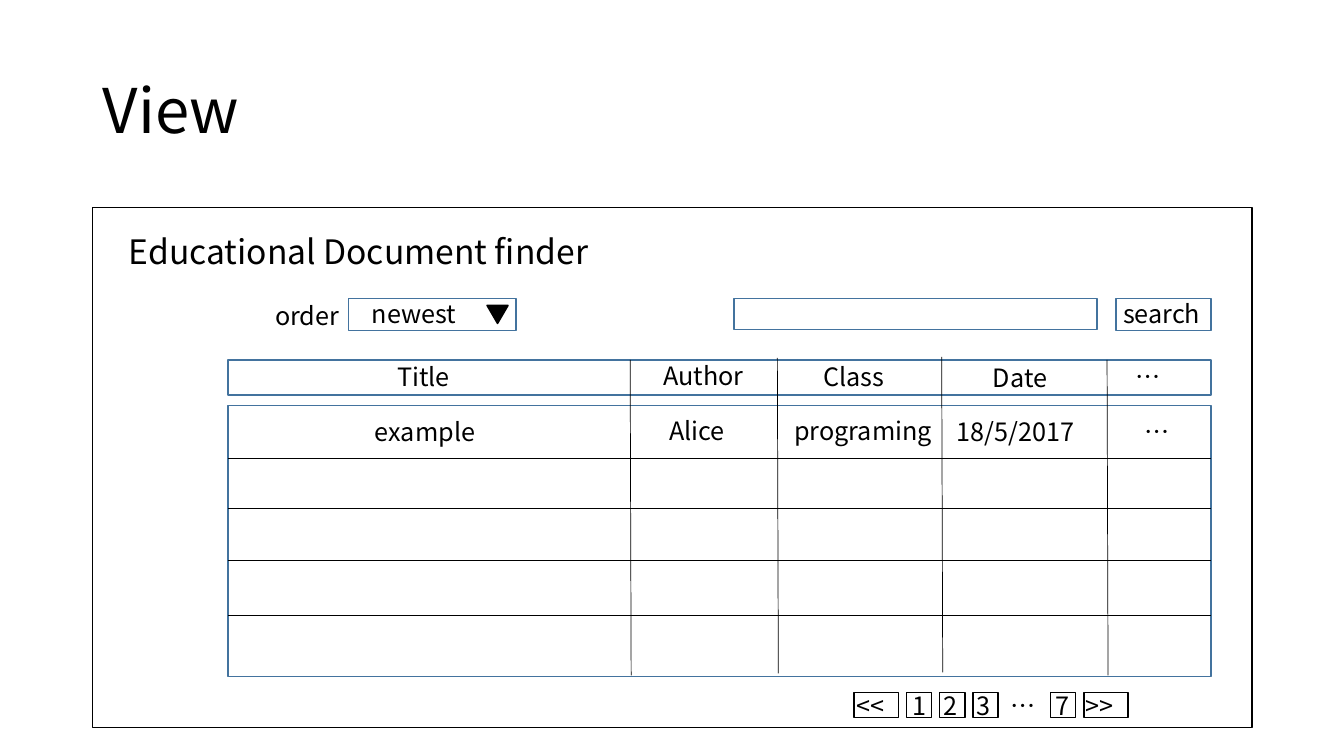
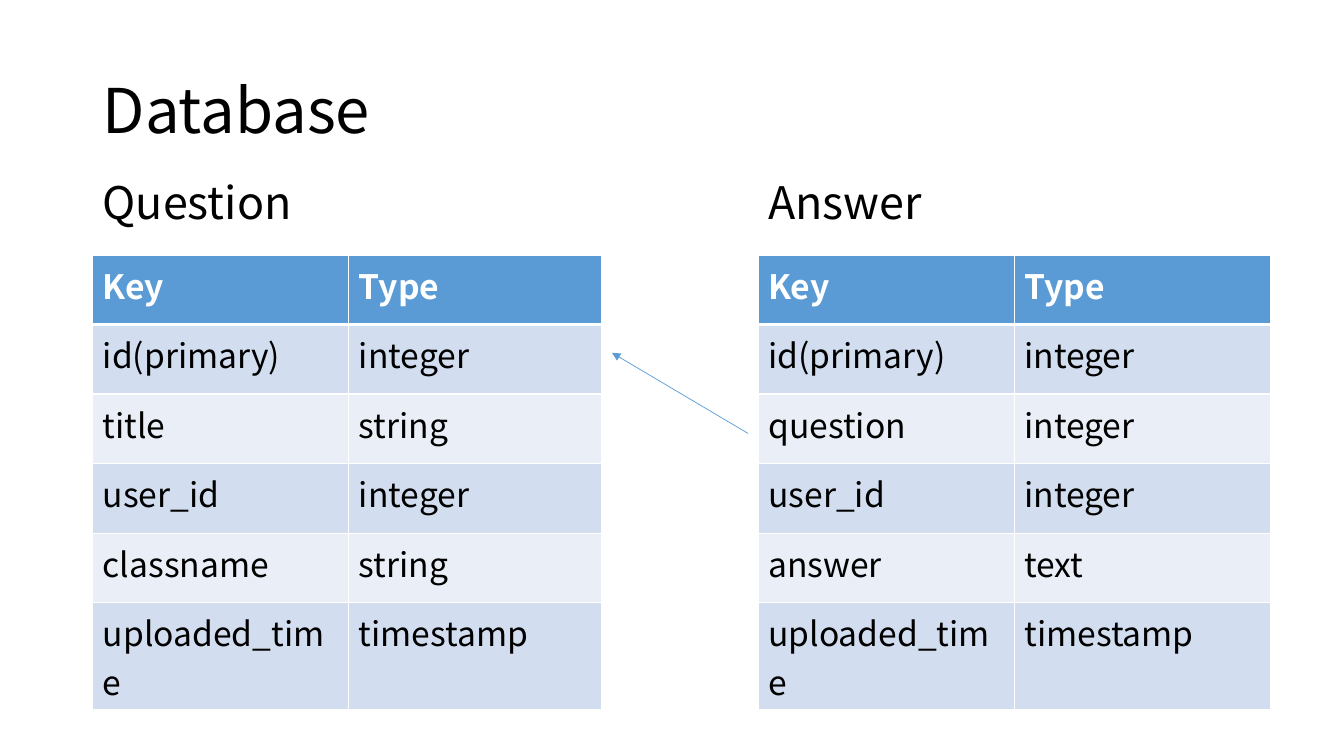
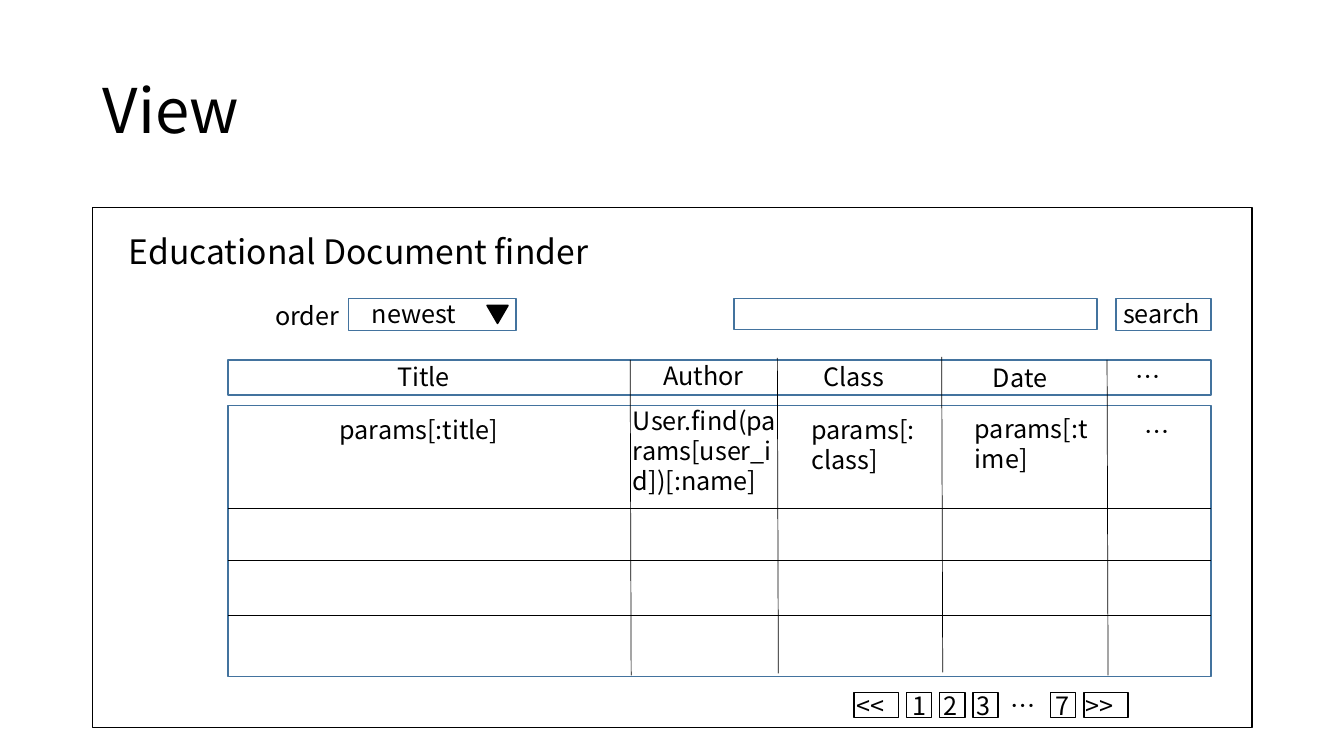
from lxml.etree import SubElement as Sub
from pptx import Presentation
from pptx.dml.color import RGBColor as RGB
from pptx.enum.shapes import MSO_CONNECTOR as Link, MSO_SHAPE as Kind
from pptx.enum.text import MSO_ANCHOR as Anchor, MSO_AUTO_SIZE as Auto
from pptx.oxml.ns import qn
from pptx.util import Inches, Pt

FACE = "Noto Sans CJK JP"
BLACK, WHITE = "000000", "FFFFFF"
EDGE, BLUE = "43739E", "5B9BD5"
BANDS = ["D2DEEF", "EAEFF7"]
LEFT, RIGHT = 2.26, 12.01
WIDTH = RIGHT - LEFT


def paint(item, tone):
    item.solid()
    item.fore_color.rgb = RGB.from_string(tone)


def apply(item, form):
    for name, value in form.items():
        setattr(item, name, value)


def style(para, size, tone=BLACK, bold=False):
    run = para.runs[0]
    apply(run.font, {"name": FACE, "size": Pt(size), "bold": bold})
    paint(run.font.fill, tone)
    Sub(run.font._element, qn("a:ea"), typeface=FACE)


def label(slide, text, x, y, w, h=0.4, size=18, gap=None, form=None):
    frame = slide.shapes.add_textbox(*map(Inches, (x, y, w, h))).text_frame
    apply(frame, {"word_wrap": True, "auto_size": Auto.SHAPE_TO_FIT_TEXT, **(form or {})})
    para = frame.paragraphs[0]
    para.text = text
    para.line_spacing = gap
    style(para, size)


def title(slide, text):
    form = {"auto_size": Auto.NONE, "vertical_anchor": Anchor.MIDDLE}
    label(slide, text, 0.92, 0.4, 11.5, 1.45, 44, 0.9, form)


def box(slide, x, y, w, h, tone=EDGE, kind=Kind.RECTANGLE, fill=None):
    shape = slide.shapes.add_shape(kind, *map(Inches, (x, y, w, h)))
    shape.shadow.inherit = False
    if fill:
        paint(shape.fill, fill)
    else:
        shape.fill.background()
    paint(shape.line.fill, tone)
    shape.line.width = Pt(1)


def rule(slide, x1, y1, x2, y2, tone=BLACK, arrow=False):
    line = slide.shapes.add_connector(Link.STRAIGHT, *map(Inches, (x1, y1, x2, y2)))
    paint(line.line.fill, tone)
    line.line.width = Pt(0.5)
    if arrow:
        Sub(line.line._get_or_add_ln(), qn("a:tailEnd"), type="triangle")
    Sub(line._element.spPr, qn("a:effectLst"))


def border(cell, head):
    props = cell._tc.get_or_add_tcPr()
    for side in "LRTB":
        width = Pt(3 if head and side == "B" else 1)
        line = Sub(props, qn("a:ln" + side), w=str(width))
        Sub(Sub(line, qn("a:solidFill")), qn("a:srgbClr"), val=WHITE)


def schema(slide, name, x, cols, rows):
    label(slide, name, x, 1.68, 4.74, 0.64, 32)
    rows = [("Key", "Type"), *rows]
    highs = [0.69] * (len(rows) - 1) + [1.06]
    size = map(Inches, (x, 2.53, sum(cols), sum(highs)))
    table = slide.shapes.add_table(len(rows), len(cols), *size).table
    for col, width in zip(table.columns, cols):
        col.width = Inches(width)
    for r, row in enumerate(rows):
        table.rows[r].height = Inches(highs[r])
        head = r == 0
        for c, text in enumerate(row):
            cell = table.cell(r, c)
            cell.text = text
            border(cell, head)
            paint(cell.fill, BLUE if head else BANDS[(r - 1) % 2])
            style(cell.text_frame.paragraphs[0], 24, WHITE if head else BLACK, head)


def pager(slide):
    for x in (8.99, 9.32, 9.65, 10.42):
        box(slide, x, 6.87, 0.25, 0.25, BLACK)
    for x in (8.47, 10.75):
        box(slide, x, 6.87, 0.44, 0.25, BLACK)
    marks = [("<<", 8.4), ("1", 8.95), ("2", 9.26), ("3", 9.59),
             ("…", 9.92), ("7", 10.37), (">>", 10.67)]
    for text, x in marks:
        label(slide, text, x, 6.8, 0.69)


def search(slide):
    label(slide, "Educational Document finder", 1.18, 2.24, 5.17, 0.5, 24)
    label(slide, "order", 2.63, 2.93, 0.95)
    box(slide, 3.46, 2.96, 1.66, 0.32)
    label(slide, "newest", 3.59, 2.91, 1.16)
    box(slide, 4.83, 3.03, 0.21, 0.18, BLACK, Kind.FLOWCHART_MERGE, BLACK)
    box(slide, 7.28, 2.96, 3.6, 0.31)
    box(slide, 11.07, 2.96, 0.94, 0.32)
    label(slide, "search", 11.04, 2.91, 1.1)


def view(slide, rows, cells):
    title(slide, "View")
    box(slide, 0.92, 2.06, 11.5, 5.16, BLACK)
    search(slide)
    box(slide, LEFT, 3.57, WIDTH, 0.35)
    box(slide, LEFT, 4.02, WIDTH, 2.69)
    for x, top in [(6.25, 3.57), (7.71, 3.55), (9.34, 3.54), (10.98, 3.57)]:
        rule(slide, x, top, x + 0.01, top + 3.13)
    for y in rows:
        rule(slide, LEFT, y, RIGHT, y)
    heads = [("Title", 3.84, 3.54, 0.78), ("Author", 6.48, 3.53, 1.03),
             ("Class", 8.07, 3.54, 1.03), ("Date", 9.75, 3.55, 0.89),
             ("…", 11.16, 3.54, 0.8)]
    for cell in [*heads, *cells, ("…", 11.25, 4.08, 0.51)]:
        label(slide, *cell)
    pager(slide)


def data(slide):
    title(slide, "Database")
    first, last = ("id(primary)", "integer"), ("uploaded_time", "timestamp")
    user = ("user_id", "integer")
    schema(slide, "Question", 0.92, [2.54, 2.51],
           [first, ("title", "string"), user, ("classname", "string"), last])
    schema(slide, "Answer", 7.52, [2.54, 2.54],
           [first, ("question", "integer"), user, ("answer", "text"), last])
    rule(slide, 7.42, 4.3, 6.07, 3.5, BLUE, True)


def main():
    deck = Presentation()
    apply(deck, {"slide_width": Inches(13.33), "slide_height": Inches(7.5)})
    blank = deck.slide_layouts[6]
    one, two, three = (deck.slides.add_slide(blank) for _ in range(3))
    rows = [4.55, 5.04, 5.56, 6.1]
    view(one, rows, [("example", 3.62, 4.08, 3.52), ("Alice", 6.54, 4.07, 0.85),
                     ("programing", 7.78, 4.07, 1.67), ("18/5/2017", 9.39, 4.08, 1.67)])
    data(two)
    view(three, rows[1:], [("params[:title]", 3.27, 4.06, 2.4),
                           ("User.find(params[user_id])[:name]", 6.18, 3.97, 1.66, 1.01),
                           ("params[:class]", 7.95, 4.06, 1.31, 0.71),
                           ("params[:time]", 9.57, 4.05, 1.33, 0.71)])
    deck.save("out.pptx")


main()
